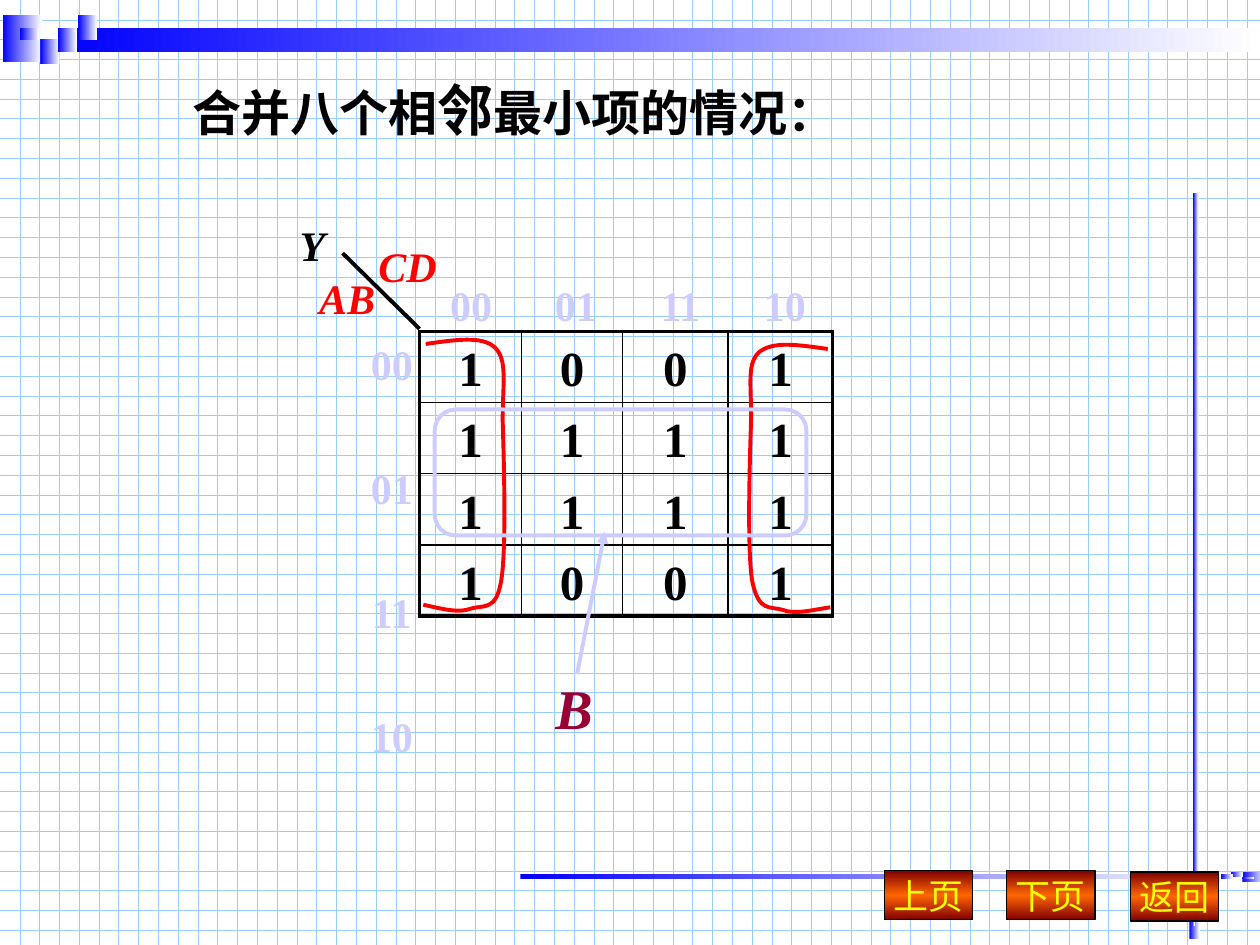
from copy import deepcopy

from lxml import etree
from pptx import Presentation
from pptx.dml.color import RGBColor
from pptx.enum import dml, shapes, text
from pptx.oxml import ns
from pptx.util import Inches, Pt

FONT = "Times New Roman"
BLACK = RGBColor(0x00, 0x00, 0x00)
WHITE = RGBColor(0xFF, 0xFF, 0xFF)
BLUE = RGBColor(0x00, 0x00, 0xFF)
GRID_BLUE = RGBColor(0x99, 0xCC, 0xFF)
LILAC = RGBColor(0xCC, 0xCC, 0xFF)
RED = RGBColor(0xFF, 0x00, 0x00)
WINE = RGBColor(0x99, 0x00, 0x33)
MAROON = RGBColor(0x80, 0x00, 0x00)
ORANGE = RGBColor(0xFF, 0x66, 0x00)
YELLOW = RGBColor(0xFF, 0xFF, 0x00)

TITLE = [("合并八个相", 28), ("邻", 32), ("最小项的情况：", 28)]
CODES = ["00", "01", "11", "10"]
KMAP = ["1001", "1111", "1111", "1001"]
MAP_LEFT, MAP_TOP, ROW_H = 3.33, 2.63, 0.565
COL_W = [0.81, 0.8, 0.84, 0.83]
BUTTONS = [("上页", 7.02, 6.91), ("下页", 7.99, 6.91), ("返回", 8.97, 6.92)]

# Ornaments: large pieces in full, then the small tiles by size and corner
LARGE_PIECES = [
    (0.02, 0.12, 0.31, 0.37), (0.47, 0.22, 9.53, 0.19),
    (9.44, 7.26, 0.08, 0.19), (9.47, 1.53, 0.04, 5.64),
    (9.86, 6.92, 0.18, 0.08), (4.13, 6.94, 5.64, 0.04),
]
TILES = [
    ((0.15, 0.1), [(0.46, 0.22), (0.62, 0.12), (0.62, 0.22), (0.32, 0.31),
                   (0.16, 0.22), (0.46, 0.31), (0.32, 0.41)]),
    ((0.02, 0.09), [(9.46, 7.08), (9.44, 6.99), (9.46, 6.99), (9.48, 7.17),
                    (9.46, 7.26), (9.48, 7.08), (9.5, 7.17)]),
    ((0.09, 0.02), [(9.69, 6.96), (9.6, 6.98), (9.6, 6.96), (9.77, 6.94),
                    (9.86, 6.96), (9.69, 6.94), (9.77, 6.92)]),
]

# Start point, then three Bezier points for each segment
LOOPS = [
    [(6.57, 2.77), (6.35, 2.74), (6.13, 2.7), (6.02, 2.8),
     (5.92, 2.9), (5.97, 3.08), (5.96, 3.38),
     (5.95, 3.68), (5.93, 4.37), (5.97, 4.61),
     (6.02, 4.86), (6.11, 4.81), (6.21, 4.84),
     (6.31, 4.88), (6.45, 4.84), (6.59, 4.82)],
    [(3.38, 2.73), (3.6, 2.7), (3.83, 2.66), (3.93, 2.76),
     (4.03, 2.86), (3.99, 3.04), (3.99, 3.34),
     (4, 3.65), (4.02, 4.35), (3.98, 4.6),
     (3.94, 4.85), (3.85, 4.8), (3.74, 4.83),
     (3.64, 4.87), (3.5, 4.83), (3.36, 4.8)],
]


def inches(values):
    return [Inches(v) for v in values]


def write(p, content, size=24, color=BLACK, bold=True, italic=False,
          align=text.PP_ALIGN.CENTER):
    p.alignment = align
    r = p.add_run()
    r.text = content
    r.font.name, r.font.size = FONT, Pt(size)
    r.font.bold, r.font.italic = bold, italic
    r.font.color.rgb = color


def add_label(s, box, lines, gap=0, **fmt):
    tf = s.shapes.add_textbox(*inches(box)).text_frame
    tf.word_wrap = True
    for i, line in enumerate(lines):
        p = tf.add_paragraph() if i else tf.paragraphs[0]
        if i:
            p.space_before = Pt(gap)
        write(p, line, **fmt)


def set_gradient(fill, colors, angle):
    fill.gradient()
    fill.gradient_angle = angle
    first, last = fill.gradient_stops
    first.color.rgb, last.color.rgb = colors[0], colors[-1]
    if len(colors) == 3:
        stops = fill._fill._gradFill.gsLst
        middle = deepcopy(stops[0])
        middle.set("pos", "50000")
        middle[0].set("val", str(colors[1]))
        stops.insert(1, middle)


def add_ornament(s, box):
    sp = s.shapes.add_shape(shapes.MSO_SHAPE.RECTANGLE, *inches(box))
    sp.shadow.inherit = False
    sp.line.fill.background()
    set_gradient(sp.fill, [BLUE, WHITE], 0)


def add_button(s, label, left, top):
    sp = s.shapes.add_shape(shapes.MSO_SHAPE.ACTION_BUTTON_CUSTOM,
                            *inches((left, top, 0.7, 0.39)))
    sp.shadow.inherit = False
    set_gradient(sp.fill, [MAROON, ORANGE, MAROON], 90)
    sp.line.color.rgb, sp.line.width = BLACK, Pt(0.75)
    tf = sp.text_frame
    tf.word_wrap = False
    tf.vertical_anchor = text.MSO_ANCHOR.MIDDLE
    write(tf.paragraphs[0], label, size=20, color=YELLOW, bold=False)


def add_line(s, start, end, color, arrow=False):
    c = s.shapes.add_connector(shapes.MSO_CONNECTOR.STRAIGHT,
                               *inches(start + end))
    c.line.color.rgb, c.line.width = color, Pt(2.25)
    if arrow:
        etree.SubElement(c.line._get_or_add_ln(), ns.qn("a:tailEnd"),
                         type="triangle")
    etree.SubElement(c._element.spPr, ns.qn("a:effectLst"))


def add_loop(s, points):
    """Draw an open curve, turning each three line steps into one Bezier."""
    pts = [inches(pt) for pt in points]
    fb = s.shapes.build_freeform(*pts[0])
    fb.add_line_segments(pts[1:], close=False)
    sp = fb.convert_to_shape()
    sp.shadow.inherit = False
    sp.fill.background()
    sp.line.color.rgb, sp.line.width = RED, Pt(2.25)
    outline = next(sp._element.iter(ns.qn("a:path")))
    steps = outline.findall(ns.qn("a:lnTo"))
    for i in range(0, len(steps), 3):
        curve = etree.SubElement(outline, ns.qn("a:cubicBezTo"))
        for step in steps[i:i + 3]:
            curve.append(step[0])
            outline.remove(step)


def set_borders(cell, widths):
    tc_pr = cell._tc.get_or_add_tcPr()
    for i, (side, width) in enumerate(widths.items()):
        ln = etree.Element(ns.qn("a:" + side), w=str(Pt(width)))
        fill = etree.SubElement(ln, ns.qn("a:solidFill"))
        etree.SubElement(fill, ns.qn("a:srgbClr"), val=str(BLACK))
        tc_pr.insert(i, ln)


def add_kmap(s):
    n = len(KMAP)
    frame = s.shapes.add_table(
        n, n, *inches((MAP_LEFT, MAP_TOP, sum(COL_W), n * ROW_H)))
    table = frame.table
    table.first_row = table.horz_banding = False
    for col, width in zip(table.columns, COL_W):
        col.width = Inches(width)
    for i, values in enumerate(KMAP):
        table.rows[i].height = Inches(ROW_H)
        for j, value in enumerate(values):
            cell = table.cell(i, j)
            cell.fill.background()
            cell.margin_top, cell.margin_bottom = Inches(0.05), 0
            cell.vertical_anchor = text.MSO_ANCHOR.MIDDLE
            write(cell.text_frame.paragraphs[0], value, size=28)
            edges = {"lnL": j == 0, "lnR": j == n - 1,
                     "lnT": i == 0, "lnB": i == n - 1}
            set_borders(cell, {k: 2.25 if outer else 1
                               for k, outer in edges.items()})


def main():
    prs = Presentation()
    prs.slide_width, prs.slide_height = Inches(10), Inches(7.5)
    s = prs.slides.add_slide(prs.slide_layouts[5])
    bg = s.background.fill
    bg.patterned()
    bg.pattern = dml.MSO_PATTERN.DOTTED_GRID
    bg.fore_color.rgb, bg.back_color.rgb = GRID_BLUE, WHITE

    title = s.shapes.title
    title.left, title.top, title.width, title.height = inches(
        (1.43, 0.55, 6.23, 0.63))
    tf = title.text_frame
    tf.auto_size = text.MSO_AUTO_SIZE.NONE
    tf.vertical_anchor = text.MSO_ANCHOR.TOP
    for part, size in TITLE:
        write(tf.paragraphs[0], part, size=size, align=text.PP_ALIGN.LEFT)

    for box in LARGE_PIECES:
        add_ornament(s, box)
    for size, corners in TILES:
        for corner in corners:
            add_ornament(s, corner + size)
    for button in BUTTONS:
        add_button(s, *button)

    add_kmap(s)
    add_line(s, (MAP_LEFT, 2.61), (2.72, 2.01), BLACK)
    add_label(s, (2.41, 2.11, 0.69, 0.5), ["AB"], color=RED, italic=True)
    add_label(s, (2.89, 1.86, 0.69, 0.5), ["CD"], color=RED, italic=True)
    add_label(s, (2.28, 1.69, 0.66, 0.5), ["Y"], italic=True,
              align=text.PP_ALIGN.LEFT)
    for i, code in enumerate(CODES):
        add_label(s, (3.42 + i * 0.83, 2.17, 0.64, 0.5), [code], color=LILAC)
    add_label(s, (2.79, 2.64, 0.64, 3.4), CODES, gap=42, color=LILAC)

    for points in LOOPS:
        add_loop(s, points)
    ring = s.shapes.add_shape(shapes.MSO_SHAPE.FLOWCHART_ALTERNATE_PROCESS,
                              *inches((3.45, 3.25, 2.95, 1)))
    ring.shadow.inherit = False
    ring.fill.background()
    ring.line.color.rgb, ring.line.width = LILAC, Pt(2.25)
    add_line(s, (4.58, 5.35), (4.8, 4.22), LILAC, arrow=True)
    add_label(s, (4.31, 5.3, 0.59, 0.63), ["B"], size=32, color=WINE,
              italic=True, align=text.PP_ALIGN.LEFT)
    prs.save("out.pptx")


if __name__ == "__main__":
    main()
